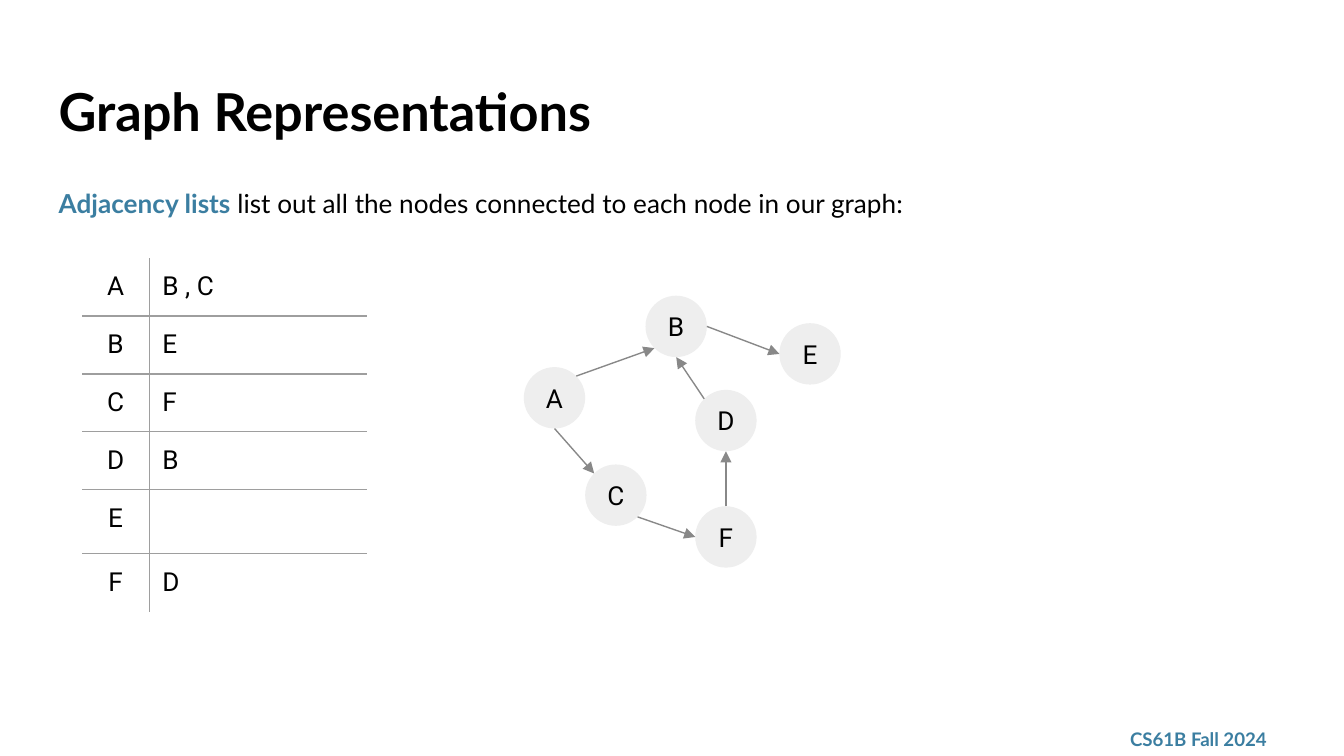
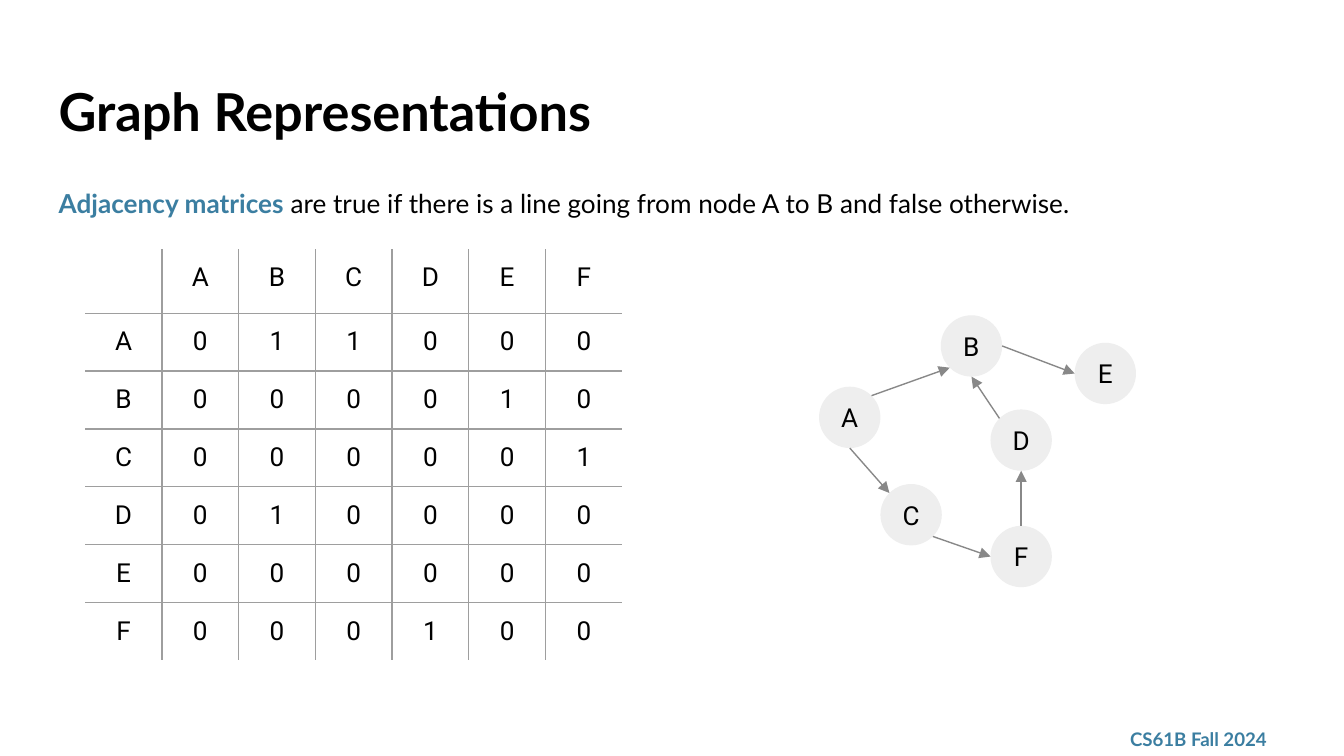
from math import cos, radians, sin

from lxml.etree import Element, SubElement
from pptx import Presentation
from pptx.dml.color import RGBColor
from pptx.enum.shapes import MSO_CONNECTOR, MSO_SHAPE
from pptx.enum.text import MSO_ANCHOR, PP_ALIGN
from pptx.oxml.ns import qn
from pptx.util import Cm, Pt

# Shared look
BLACK, ACCENT = "000000", "3B7EA1"
NODE_FILL, EDGE_GREY, RULE_GREY = "EEEEEE", "888888", "9E9E9E"
TEXT_FONT, NODE_FONT = "Lato", "Roboto"
INSET = Cm(0.25)
LEFT, TEXT_WIDTH = 0.86, 23.68

# Table rows, in centimetres
ROW_HEIGHT, TALL_ROW = 1.09, 1.21

# The graph: node offsets from A in centimetres, and edges with the
# compass angle (clockwise from east) at which they leave and arrive
DIAMETER = 1.16
NODES = {"A": (0, 0), "B": (2.3, -1.35), "C": (1.16, 1.84),
         "D": (3.24, 0.43), "E": (4.83, -0.83), "F": (3.24, 2.63)}
EDGES = [("A", -45, "B", 135), ("A", 90, "C", -135), ("B", 0, "E", 180),
         ("D", -135, "B", 90), ("C", 45, "F", 180), ("F", -90, "D", 90)]


def colour(value):
    return RGBColor.from_string(value)


def add_span(para, text, size=14, font=TEXT_FONT, color=BLACK, bold=False):
    span = para.add_run()
    span.text = text
    span.font.size = Pt(size)
    span.font.name = font
    span.font.bold = bold
    span.font.color.rgb = colour(color)


def set_frame(frame, anchor=MSO_ANCHOR.TOP):
    frame.word_wrap = True
    frame.vertical_anchor = anchor
    frame.margin_left = frame.margin_right = INSET
    frame.margin_top = frame.margin_bottom = INSET


def add_text(page, left, top, width, height, text="",
             anchor=MSO_ANCHOR.TOP, **style):
    box = page.shapes.add_textbox(Cm(left), Cm(top), Cm(width), Cm(height))
    set_frame(box.text_frame, anchor)
    para = box.text_frame.paragraphs[0]
    if text:
        add_span(para, text, **style)
    return para


def add_page(deck, term, explanation):
    """A page with the shared title and footer, and its opening sentence."""
    page = deck.slides.add_slide(deck.slide_layouts[6])
    add_text(page, 21.11, 13.64, 3.43, 0.66, "CS61B Fall 2024",
             anchor=MSO_ANCHOR.MIDDLE, size=10, color=ACCENT, bold=True)
    add_text(page, LEFT, 1.24, TEXT_WIDTH, 1.6, "Graph Representations",
             size=28, bold=True)
    para = add_text(page, LEFT, 3.2, TEXT_WIDTH, 1.14)
    para.line_spacing = 1.15
    para.space_after = Pt(16)
    add_span(para, term, color=ACCENT, bold=True)
    add_span(para, explanation)
    return page


# Graph
def add_node(group, name, left, top):
    node = group.shapes.add_shape(MSO_SHAPE.OVAL, Cm(left), Cm(top),
                                  Cm(DIAMETER), Cm(DIAMETER))
    node.shadow.inherit = False
    node.fill.solid()
    node.fill.fore_color.rgb = colour(NODE_FILL)
    node.line.fill.background()
    set_frame(node.text_frame, MSO_ANCHOR.MIDDLE)
    para = node.text_frame.paragraphs[0]
    para.alignment = PP_ALIGN.CENTER
    add_span(para, name, font=NODE_FONT)


def rim_point(left, top, angle):
    radius = DIAMETER / 2
    return (Cm(left + radius + radius * cos(radians(angle))),
            Cm(top + radius + radius * sin(radians(angle))))


def add_arrow(group, start, end):
    arrow = group.shapes.add_connector(MSO_CONNECTOR.STRAIGHT, *start, *end)
    arrow.line.color.rgb = colour(EDGE_GREY)
    arrow.line.width = Pt(0.75)
    properties = arrow.element.spPr
    SubElement(properties.find(qn("a:ln")), qn("a:tailEnd"), type="triangle")
    SubElement(properties, qn("a:effectLst"))


def add_graph(page, left, top):
    group = page.shapes.add_group_shape()
    places = {name: (left + x, top + y) for name, (x, y) in NODES.items()}
    for name, place in places.items():
        add_node(group, name, *place)
    for source, leaving, target, arriving in EDGES:
        add_arrow(group, rim_point(*places[source], leaving),
                  rim_point(*places[target], arriving))


# Tables
def set_borders(cell, visible):
    """Rule the visible sides and clear the others."""
    properties = cell._tc.get_or_add_tcPr()
    for index, side in enumerate("LRTB"):
        line = Element(qn("a:ln" + side), w=str(Pt(0.75)))
        if side in visible:
            fill = SubElement(line, qn("a:solidFill"))
            SubElement(fill, qn("a:srgbClr"), val=RULE_GREY)
        else:
            SubElement(line, qn("a:noFill"))
        properties.insert(index, line)


def fill_cell(cell, text, alignment):
    cell.fill.background()
    cell.margin_left = cell.margin_right = INSET
    # A blank cell needs no vertical margins, so it cannot stretch its row
    cell.margin_top = cell.margin_bottom = INSET if text else 0
    para = cell.text_frame.paragraphs[0]
    para.alignment = alignment
    if text:
        add_span(para, text, font=NODE_FONT)


def add_grid(page, left, top, widths, rows, tall_row, alignments):
    """A table with inner rules only."""
    heights = [TALL_ROW if index == tall_row else ROW_HEIGHT
               for index in range(len(rows))]
    table = page.shapes.add_table(len(rows), len(widths), Cm(left), Cm(top),
                                  Cm(sum(widths)), Cm(sum(heights))).table
    table.first_row = table.horz_banding = False
    for column, width in zip(table.columns, widths):
        column.width = Cm(width)
    for row, height in zip(table.rows, heights):
        row.height = Cm(height)
    for y, texts in enumerate(rows):
        for x, text in enumerate(texts):
            cell = table.cell(y, x)
            fill_cell(cell, text, alignments[x])
            inner = {"L": x > 0, "R": x < len(widths) - 1,
                     "T": y > 0, "B": y < len(rows) - 1}
            set_borders(cell, [side for side in inner if inner[side]])


# Pages
def add_list_page(deck):
    page = add_page(deck, "Adjacency lists",
                    " list out all the nodes connected to each node in our graph:")
    add_graph(page, 9.9, 6.94)
    neighbours = ["B , C", "E", "F", "B", "", "D"]
    add_grid(page, 1.55, 4.88, [1.27, 4.11], list(zip(NODES, neighbours)),
             tall_row=4, alignments=[PP_ALIGN.CENTER, PP_ALIGN.LEFT])


def add_matrix_page(deck):
    page = add_page(deck, "Adjacency matrices",
                    " are true if there is a line going from node A to B"
                    " and false otherwise.")
    add_graph(page, 15.48, 7.31)
    linked = {(source, target) for source, _, target, _ in EDGES}
    rows = [["", *NODES]]
    for source in NODES:
        rows.append([source, *("1" if (source, target) in linked else "0"
                               for target in NODES)])
    columns = len(rows[0])
    add_grid(page, 1.61, 4.71, [1.45] * columns, rows, tall_row=0,
             alignments=[PP_ALIGN.CENTER] * columns)


def main():
    deck = Presentation()
    deck.slide_width, deck.slide_height = Cm(25.4), Cm(14.29)
    add_list_page(deck)
    add_matrix_page(deck)
    deck.save("out.pptx")


if __name__ == "__main__":
    main()
